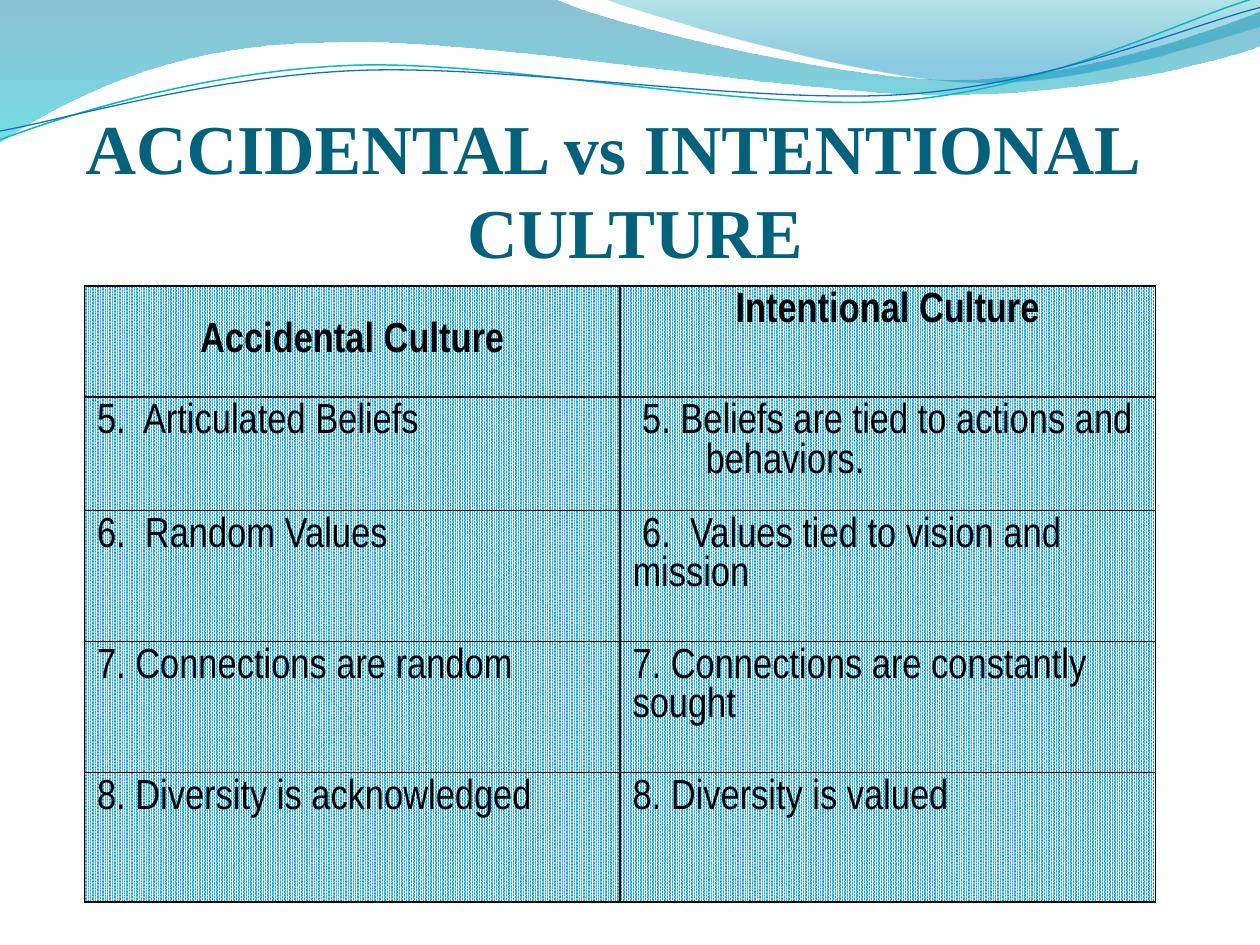
from pptx import Presentation
from pptx.dml.color import RGBColor
from pptx.enum.dml import MSO_PATTERN
from pptx.enum.text import MSO_ANCHOR, PP_ALIGN
from pptx.oxml.ns import qn
from pptx.util import Inches, Pt
from lxml.etree import SubElement

COLORS = {
    "title": "04617B", "text": "000000", "border": "000000",
    "dots": "FFFFFF", "cell": "009DD9",
    "deep": "0074A1", "aqua": "00C6CF", "teal": "00A1A9", "blue": "008BBF",
    "teal_line": "0AB8BF", "blue_line": "0F6FC6",
}

LEFT_WAVE = [
    (0, -0.01), (4.4, -0.01), (4.76, 0.17, 6.64, 0.63, 7.58, 0.63),
    (8.53, 0.63, 9.58, 0.26, 10, 0.09), (10.01, 0.36),
    (9.83, 0.44, 8.7, 0.76, 7.46, 0.75), (6.22, 0.75, 3.82, 0.28, 2.57, 0.34),
    (1.29, 0.35, 0.46, 0.83, -0.01, 1.13), (0, -0.01),
]
RIGHT_WAVE = [
    (4.79, -0.01), (5.09, 0.11, 6.82, 0.62, 7.69, 0.65),
    (8.56, 0.69, 9.61, 0.32, 10, 0.21), (10, 0), (4.79, -0.01),
]
TEAL_CURVE = [
    (0, 1.11), (0.48, 0.93, 1.58, 0.57, 2.77, 0.52),
    (3.95, 0.47, 5.93, 0.89, 7.13, 0.8), (8.33, 0.71, 9.38, 0.15, 9.98, -0.02),
]
BLUE_CURVE = [
    (0, 1.04), (0.47, 0.96, 1.64, 0.61, 2.83, 0.56),
    (4.03, 0.51, 5.97, 0.83, 7.17, 0.75), (8.36, 0.67, 9.41, 0.21, 10, 0.06),
]

ROWS = [
    ("Accidental Culture", "Intentional Culture"),
    ("5.  Articulated Beliefs", " 5. Beliefs are tied to actions and behaviors."),
    ("6.  Random Values", " 6.  Values tied to vision and mission"),
    ("7. Connections are random", "7. Connections are constantly sought"),
    ("8. Diversity is acknowledged", "8. Diversity is valued"),
]
ROW_HEIGHTS = [0.88, 0.9, 1.04, 1.04, 1.03]


def rgb(name):
    """Return the named colour."""
    return RGBColor.from_string(COLORS[name])


def add_outline(s, segments, close):
    """Add a freeform of lines (2 numbers) and Bezier curves (6 numbers)."""
    anchors = [(Inches(seg[-2]), Inches(seg[-1])) for seg in segments]
    builder = s.shapes.build_freeform(*anchors[0])
    builder.add_line_segments(anchors[1:], close=close)
    sp = builder.convert_to_shape()
    sp.shadow.inherit = False
    steps = list(sp._element.iter(qn("a:lnTo")))
    for step, seg in zip(steps, segments[1:]):
        if len(seg) == 6:
            curve = step.makeelement(qn("a:cubicBezTo"), {})
            for x, y in zip(seg[::2], seg[1::2]):
                SubElement(curve, qn("a:pt"), x=str(Inches(x) - sp.left),
                           y=str(Inches(y) - sp.top))
            step.getparent().replace(step, curve)
    return sp


def add_wave(s, segments, stops):
    """Add a closed wave with a see-through vertical gradient."""
    sp = add_outline(s, segments, True)
    sp.line.fill.background()
    sp.fill.gradient()
    sp.fill.gradient_angle = 270
    for stop, (position, color, _) in zip(sp.fill.gradient_stops, stops):
        stop.position = position
        stop.color.rgb = rgb(color)
    for clr, (_, _, alpha) in zip(sp._element.spPr.iter(qn("a:srgbClr")), stops):
        SubElement(clr, qn("a:alpha"), val=str(alpha * 1000))


def add_curve(s, segments, color, width):
    """Add an open curved line."""
    sp = add_outline(s, segments, False)
    sp.fill.background()
    sp.line.color.rgb = rgb(color)
    sp.line.width = Pt(width)


def set_title(s, lines):
    """Place and format the title, first line left and the rest centred."""
    title = s.shapes.title
    title.left, title.top = Inches(0.58), Inches(0.78)
    title.width, title.height = Inches(8.92), Inches(1.43)
    tf = title.text_frame
    tf.text = "\n".join(lines)
    tf.word_wrap = True
    tf.vertical_anchor = MSO_ANCHOR.BOTTOM
    for i, p in enumerate(tf.paragraphs):
        p.alignment = PP_ALIGN.CENTER if i else PP_ALIGN.LEFT
        p.font.name, p.font.size, p.font.bold = "Times New Roman", Pt(40), True
        p.font.color.rgb = rgb("title")


def set_borders(cell):
    """Draw a thin line on all four sides of a cell."""
    tcPr = cell._tc.get_or_add_tcPr()
    for i, side in enumerate(("a:lnL", "a:lnR", "a:lnT", "a:lnB")):
        ln = tcPr.makeelement(qn(side), {"w": str(Pt(1))})
        SubElement(SubElement(ln, qn("a:solidFill")), qn("a:srgbClr"), val=COLORS["border"])
        tcPr.insert(i, ln)


def format_cell(cell, text, header, hanging):
    """Write and style one table cell."""
    cell.text = text
    cell.fill.patterned()
    cell.fill.pattern = MSO_PATTERN.PERCENT_90
    cell.fill.fore_color.rgb = rgb("dots")
    cell.fill.back_color.rgb = rgb("cell")
    set_borders(cell)
    p = cell.text_frame.paragraphs[0]
    p.font.name, p.font.size, p.font.bold = "Arial Narrow", Pt(24), header
    p.font.color.rgb = rgb("text")
    pPr = p._p.get_or_add_pPr()
    SubElement(pPr._add_spcBef(), qn("a:spcPct"), val="20000")
    if header:
        p.alignment = PP_ALIGN.CENTER
    if hanging:
        pPr.set("marL", str(Inches(0.58)))
        pPr.set("indent", str(Inches(-0.58)))


def add_comparison(s):
    """Add the two-column culture table."""
    frame = s.shapes.add_table(len(ROWS), 2, Inches(0.67), Inches(2.27),
                               Inches(8.5), Inches(sum(ROW_HEIGHTS)))
    table = frame.table
    for col in table.columns:
        col.width = Inches(4.25)
    for r, (texts, height) in enumerate(zip(ROWS, ROW_HEIGHTS)):
        table.rows[r].height = Inches(height)
        for c, text in enumerate(texts):
            format_cell(table.cell(r, c), text, r == 0, r > 0 and (c == 0 or r == 1))
    table.cell(0, 0).vertical_anchor = MSO_ANCHOR.MIDDLE


def main():
    """Build the slide and save it."""
    prs = Presentation()
    prs.slide_width, prs.slide_height = Inches(10), Inches(7.5)
    s = prs.slides.add_slide(prs.slide_layouts[5])
    add_wave(s, LEFT_WAVE, [(0, "deep", 45), (1, "aqua", 55)])
    add_wave(s, RIGHT_WAVE, [(0, "teal", 30), (0.8, "blue", 45)])
    add_curve(s, TEAL_CURVE, "teal_line", 0.85)
    add_curve(s, BLUE_CURVE, "blue_line", 0.75)
    set_title(s, ["ACCIDENTAL vs INTENTIONAL", "CULTURE"])
    add_comparison(s)
    prs.save("out.pptx")


if __name__ == "__main__":
    main()
